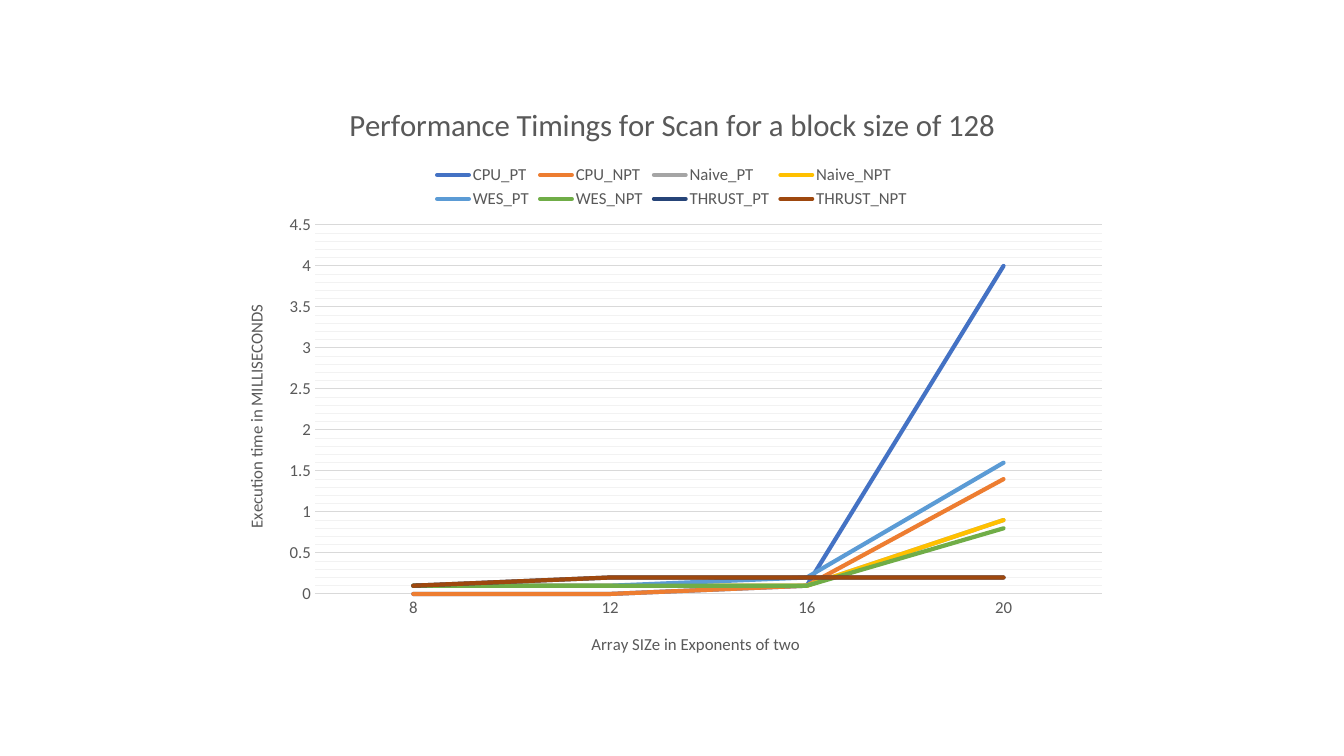
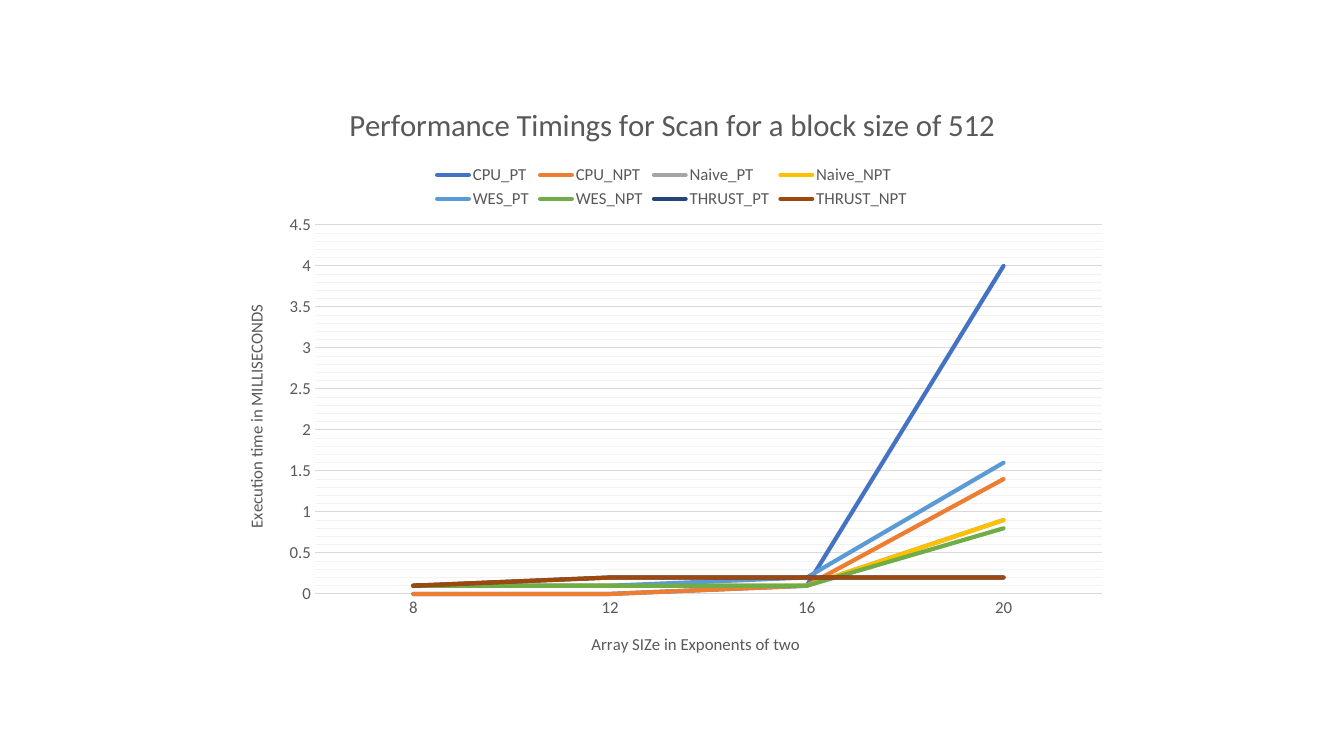
from copy import deepcopy
from dataclasses import dataclass

from lxml import etree
from pptx import Presentation
from pptx.chart.data import CategoryChartData
from pptx.dml.color import RGBColor
from pptx.enum.chart import XL_CHART_TYPE as ChartType
from pptx.enum.chart import XL_LEGEND_POSITION as LegendPosition
from pptx.enum.chart import XL_TICK_MARK as TickMark
from pptx.oxml.ns import qn
from pptx.util import Pt

SCALE = 914400 / 100.8  # EMU per pixel


@dataclass(frozen=True)
class Theme:
    font: str = "Calibri"
    text: str = "595959"
    major_grid: str = "D9D9D9"
    minor_grid: str = "F2F2F2"
    title_size: int = 22
    label_size: int = 12
    curve_width: float = 3
    rule_width: float = 0.75


THEME = Theme()

SLIDE_SIZE = (1344, 756)
CHART_BOX = (224, 80, 896, 598)
PLOT_BOX = (315, 225, 787, 369)

BLOCK_SIZES = (128, 512)
EXPONENTS = ("8", "12", "16", "20")
TIMINGS = (
    ("CPU_PT", "4472C4", (0, 0, 0.1, 4)),
    ("CPU_NPT", "ED7D31", (0, 0, 0.1, 1.4)),
    ("Naive_PT", "A5A5A5", (0.1, 0.1, 0.1, 0.9)),
    ("Naive_NPT", "FFC000", (0.1, 0.1, 0.1, 0.9)),
    ("WES_PT", "5B9BD5", (0.1, 0.1, 0.2, 1.6)),
    ("WES_NPT", "70AD47", (0.1, 0.1, 0.1, 0.8)),
    ("THRUST_PT", "264478", (0.1, 0.2, 0.2, 0.2)),
    ("THRUST_NPT", "9E480E", (0.1, 0.2, 0.2, 0.2)),
)


def style_font(font, size):
    """Give a font the theme's typeface and text colour at the given size."""
    font.name = THEME.font
    font.size = Pt(size)
    font.bold = False
    font.color.rgb = RGBColor.from_string(THEME.text)


def write_title(title, wording, size):
    """Write a chart or axis title as one styled run."""
    run = title.text_frame.paragraphs[0].add_run()
    run.text = wording
    style_font(run.font, size)


prs = Presentation()
prs.slide_width, prs.slide_height = (round(side * SCALE) for side in SLIDE_SIZE)
blank_layout = prs.slide_layouts[6]

timing_data = CategoryChartData()
timing_data.categories = EXPONENTS
for method, _, milliseconds in TIMINGS:
    timing_data.add_series(method, milliseconds)

for block_size in BLOCK_SIZES:
    slide = prs.slides.add_slide(blank_layout)
    chart_frame = slide.shapes.add_chart(
        ChartType.LINE, *(round(length * SCALE) for length in CHART_BOX), timing_data
    )
    chart = chart_frame.chart
    style_font(chart.font, THEME.label_size)

    chart.has_title = True
    write_title(
        chart.chart_title,
        f"Performance Timings for Scan for a block size of {block_size}",
        THEME.title_size,
    )

    chart.has_legend = True
    chart.legend.position = LegendPosition.TOP
    chart.legend.include_in_layout = False
    style_font(chart.legend.font, THEME.label_size)

    # Axes
    exponent_axis, time_axis = chart.category_axis, chart.value_axis
    for axis, wording in (
        (exponent_axis, "Array SIZe in Exponents of two"),
        (time_axis, "Execution time in MILLISECONDS"),
    ):
        write_title(axis.axis_title, wording, THEME.label_size)
        style_font(axis.tick_labels.font, THEME.label_size)
        axis.major_tick_mark = axis.minor_tick_mark = TickMark.NONE
    time_title_body = time_axis._element.xpath("c:title//a:bodyPr")[0]
    time_title_body.set("rot", "-5400000")
    time_title_body.set("vert", "horz")

    time_axis.minimum_scale, time_axis.maximum_scale = 0, 4.5
    time_axis.major_unit, time_axis.minor_unit = 0.5, 0.1
    time_axis.has_major_gridlines = time_axis.has_minor_gridlines = True
    time_axis.format.line.fill.background()
    for rule in (exponent_axis.format.line, time_axis.major_gridlines.format.line):
        rule.color.rgb = RGBColor.from_string(THEME.major_grid)
        rule.width = Pt(THEME.rule_width)

    # Minor gridlines share the major style in a lighter colour
    minor_style = deepcopy(time_axis._element.xpath("c:majorGridlines/c:spPr")[0])
    next(minor_style.iter(qn("a:srgbClr"))).set("val", THEME.minor_grid)
    time_axis._element.xpath("c:minorGridlines")[0].append(minor_style)

    # Curves
    plot = chart.plots[0]
    plot.vary_by_categories = False
    for curve, (_, color, _) in zip(plot.series, TIMINGS):
        curve.smooth = False
        curve.format.line.color.rgb = RGBColor.from_string(color)
        curve.format.line.width = Pt(THEME.curve_width)
        curve._element.xpath("c:spPr/a:ln")[0].set("cap", "rnd")

    # Fixed inner plot area, as fractions of the chart
    plot_area = chart._chartSpace.xpath("c:chart/c:plotArea")[0]
    for automatic_layout in plot_area.findall(qn("c:layout")):
        plot_area.remove(automatic_layout)
    layout = etree.Element(qn("c:layout"))
    plot_area.insert(0, layout)
    manual = etree.SubElement(layout, qn("c:manualLayout"))
    left, top, width, height = CHART_BOX
    plot_left, plot_top, plot_width, plot_height = PLOT_BOX
    for tag, setting in (
        ("layoutTarget", "inner"),
        ("xMode", "edge"),
        ("yMode", "edge"),
        ("x", (plot_left - left) / width),
        ("y", (plot_top - top) / height),
        ("w", plot_width / width),
        ("h", plot_height / height),
    ):
        etree.SubElement(manual, qn(f"c:{tag}")).set("val", str(setting))

prs.save("out.pptx")
